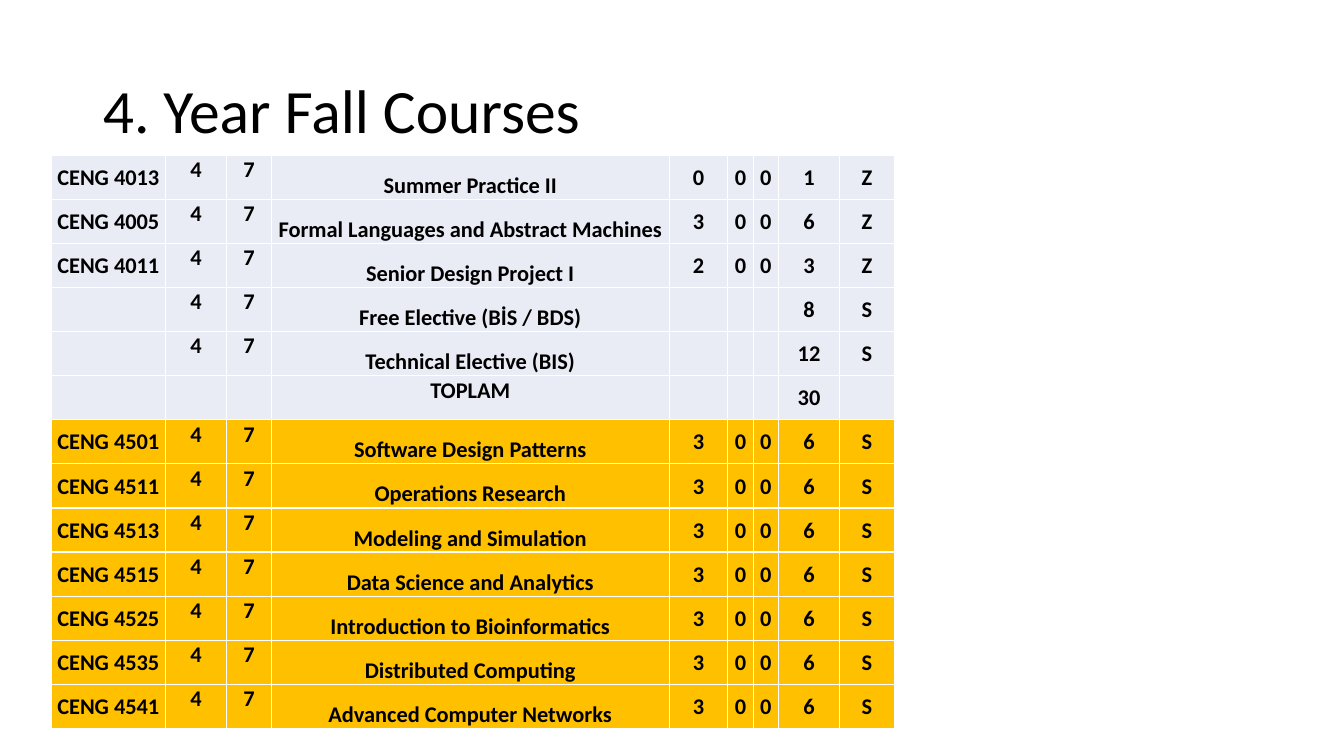
"""Build the fall course table slide for year four."""
from dataclasses import dataclass

from lxml import etree
from pptx import Presentation
from pptx.dml.color import RGBColor
from pptx.enum.text import MSO_ANCHOR, MSO_AUTO_SIZE, PP_ALIGN
from pptx.oxml.ns import qn
from pptx.util import Inches, Pt

TOP, MID, LOW = MSO_ANCHOR.TOP, MSO_ANCHOR.MIDDLE, MSO_ANCHOR.BOTTOM
LEFT, CENTER = PP_ALIGN.LEFT, PP_ALIGN.CENTER
NO_FIT = MSO_AUTO_SIZE.NONE


@dataclass(frozen=True)
class Theme:
    font: str = "Calibri"
    ink: str = "000000"
    core: str = "E9EBF5"
    pick: str = "FFC000"
    rule: str = "FFFFFF"
    head: int = 44
    body: int = 16


look = Theme()


def write(frame, text, size, bold, align):
    para = frame.paragraphs[0]
    para.alignment = align
    run = para.add_run()
    run.text = text
    run.font.name = look.font
    run.font.size = Pt(size)
    run.font.bold = bold
    run.font.color.rgb = RGBColor.from_string(look.ink)
    return para


def edge(cell):
    props = cell._tc.get_or_add_tcPr()
    for spot, side in enumerate(("lnL", "lnR", "lnT", "lnB")):
        line = etree.Element(qn("a:" + side), w=str(Pt(1)))
        fill = etree.SubElement(line, qn("a:solidFill"))
        etree.SubElement(fill, qn("a:srgbClr"), val=look.rule)
        props.insert(spot, line)


deck = Presentation()
deck.slide_width, deck.slide_height = Inches(13.33), Inches(7.5)
slide = deck.slides.add_slide(deck.slide_layouts[5])

title = slide.shapes.title
title.left, title.top = Inches(0.92), Inches(0.4)
title.width, title.height = Inches(11.5), Inches(1.45)
title.text_frame.auto_size = NO_FIT
title.text_frame.vertical_anchor = MID
head = write(title.text_frame, "4. Year Fall Courses", look.head, False, LEFT)
head.line_spacing = 0.9

core = [
    ("CENG 4013", "4", "7", "Summer Practice II", "0", "0", "0", "1", "Z"),
    ("CENG 4005", "4", "7", "Formal Languages and Abstract Machines",
     "3", "0", "0", "6", "Z"),
    ("CENG 4011", "4", "7", "Senior Design Project I", "2", "0", "0", "3", "Z"),
    ("", "4", "7", "Free Elective (BİS / BDS)", "", "", "", "8", "S"),
    ("", "4", "7", "Technical Elective (BIS)", "", "", "", "12", "S"),
    ("", "", "", "TOPLAM", "", "", "", "30", ""),
]
picks = [
    ("4501", "Software Design Patterns"),
    ("4511", "Operations Research"),
    ("4513", "Modeling and Simulation"),
    ("4515", "Data Science and Analytics"),
    ("4525", "Introduction to Bioinformatics"),
    ("4535", "Distributed Computing"),
    ("4541", "Advanced Computer Networks"),
]
rows = core + [("CENG " + code, "4", "7", name, "3", "0", "0", "6", "S")
               for code, name in picks]
cols = [1.13, 0.61, 0.44, 3.95, 0.58, 0.25, 0.25, 0.61, 0.54]
seats = [MID, TOP, TOP, LOW, MID, MID, MID, MID, MID]

high = Inches(5.69)
grid = slide.shapes.add_table(len(rows), len(cols), Inches(0.51), Inches(1.54),
                              Inches(sum(cols)), high).table
grid.first_row = grid.horz_banding = False
for col, wide in zip(grid.columns, cols):
    col.width = Inches(wide)

for r, row in enumerate(rows):
    grid.rows[r].height = high // len(rows)
    for c, text in enumerate(row):
        cell = grid.cell(r, c)
        cell.margin_left = cell.margin_right = cell.margin_top = Inches(0.01)
        cell.margin_bottom = 0
        cell.vertical_anchor = TOP if text == "TOPLAM" else seats[c]
        cell.fill.solid()
        tint = look.core if r < len(core) else look.pick
        cell.fill.fore_color.rgb = RGBColor.from_string(tint)
        edge(cell)
        if text:
            write(cell.text_frame, text, look.body, True, CENTER)

deck.save("out.pptx")
